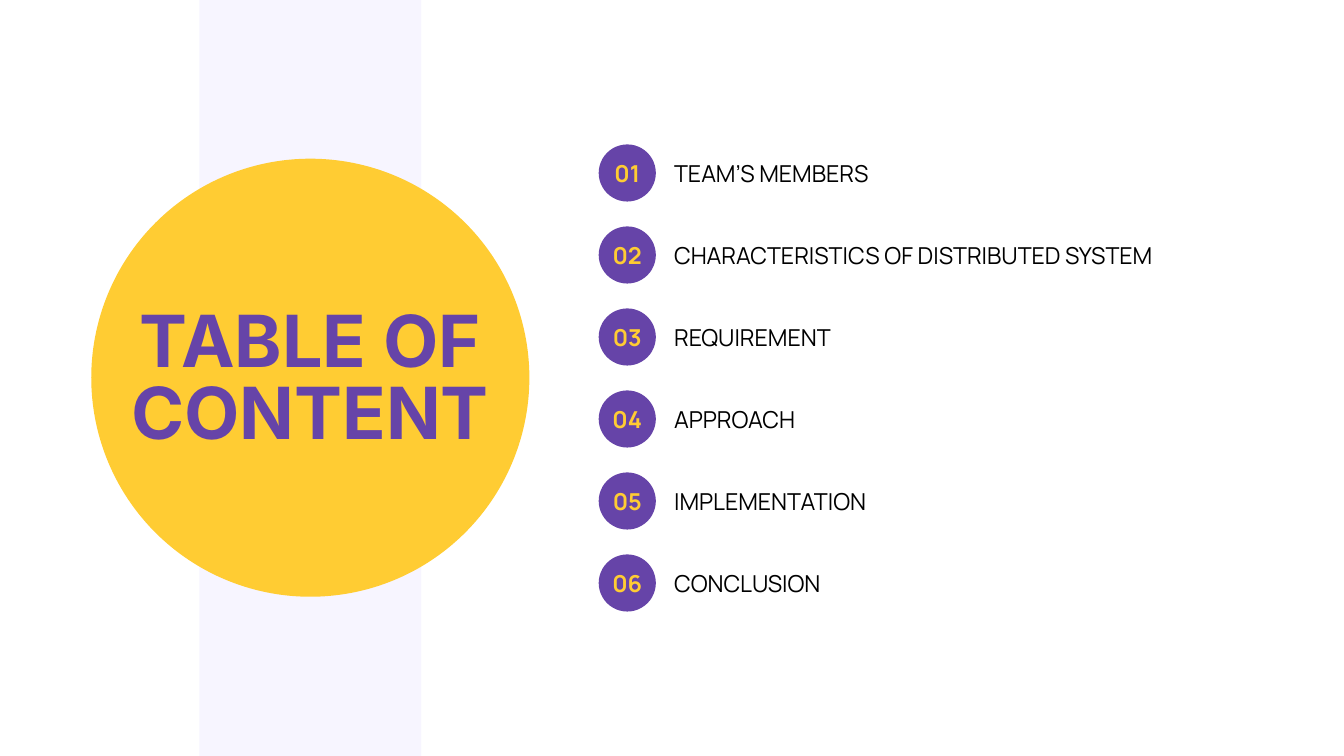
import pptx
import pptx.dml.color
import pptx.enum.shapes
import pptx.enum.text
import pptx.util

Cm = pptx.util.Cm
Pt = pptx.util.Pt
SHAPE = pptx.enum.shapes.MSO_SHAPE
ALIGN = pptx.enum.text.PP_ALIGN
ANCHOR = pptx.enum.text.MSO_ANCHOR

PURPLE = "6644A8"
YELLOW = "FFCC33"
LAVENDER = "F7F5FF"
BLACK = "000000"

TOPICS = [
    "TEAM’S MEMBERS",
    "CHARACTERISTICS OF DISTRIBUTED SYSTEM",
    "REQUIREMENT",
    "APPROACH",
    "IMPLEMENTATION",
    "CONCLUSION",
]
FIRST_TOP, PITCH, BADGE_SIZE = 5.46, 3.1, 2.16


def paint(item, color):
    """Give a shape or a font a solid colour."""
    item.fill.solid()
    item.fill.fore_color.rgb = pptx.dml.color.RGBColor.from_string(color)


def write(shape, text, color=BLACK, font="Manrope", size=25, spacing=35,
          bold=False, align=ALIGN.LEFT, anchor=ANCHOR.TOP, bottom=0):
    frame = shape.text_frame
    frame.word_wrap = True
    frame.auto_size = pptx.enum.text.MSO_AUTO_SIZE.NONE
    frame.vertical_anchor = anchor
    frame.margin_left = frame.margin_right = frame.margin_top = 0
    frame.margin_bottom = Cm(bottom)
    paragraph = frame.paragraphs[0]
    paragraph.alignment = align
    paragraph.line_spacing = Pt(spacing)
    paragraph.space_before = Pt(0)
    run = paragraph.add_run()
    run.text = text
    run.font.name = font
    run.font.size = Pt(size)
    run.font.bold = bold
    paint(run.font, color)


deck = pptx.Presentation()
deck.slide_width, deck.slide_height = Cm(50.8), Cm(28.58)
slide = deck.slides.add_slide(deck.slide_layouts[5])
shapes = slide.shapes
paint(slide.background, "FFFFFF")

# Lavender band, title disc and number badges
band = shapes.add_shape(SHAPE.RECTANGLE, Cm(7.54), 0, Cm(8.38), deck.slide_height)
disc = shapes.add_shape(SHAPE.OVAL, Cm(3.45), Cm(6), Cm(16.56), Cm(16.56))
badges = [
    shapes.add_shape(SHAPE.OVAL, Cm(22.63), Cm(FIRST_TOP + row * PITCH),
                     Cm(BADGE_SIZE), Cm(BADGE_SIZE))
    for row in range(len(TOPICS))
]
colors = [LAVENDER, YELLOW] + [PURPLE] * len(badges)
for shape, color in zip([band, disc, *badges], colors):
    paint(shape, color)
    shape.line.fill.background()
    shape.shadow.inherit = False

# Title, brought in front of its disc
title = shapes.title
title.left, title.top, title.width, title.height = disc.left, Cm(11.71), disc.width, Cm(5.54)
write(title, "TABLE OF CONTENT", color=PURPLE, font="Inter", size=77, spacing=77,
      bold=True, align=ALIGN.CENTER)
title.element.getparent().append(title.element)

# Numbered topics
for number, (badge, topic) in enumerate(zip(badges, TOPICS), start=1):
    write(badge, f"{number:02}", color=YELLOW, bold=True, align=ALIGN.CENTER,
          anchor=ANCHOR.MIDDLE, bottom=0.18)
    label = shapes.add_textbox(Cm(25.48), badge.top + Cm(0.38), Cm(18.3), Cm(1.22))
    write(label, topic)

deck.save("out.pptx")
